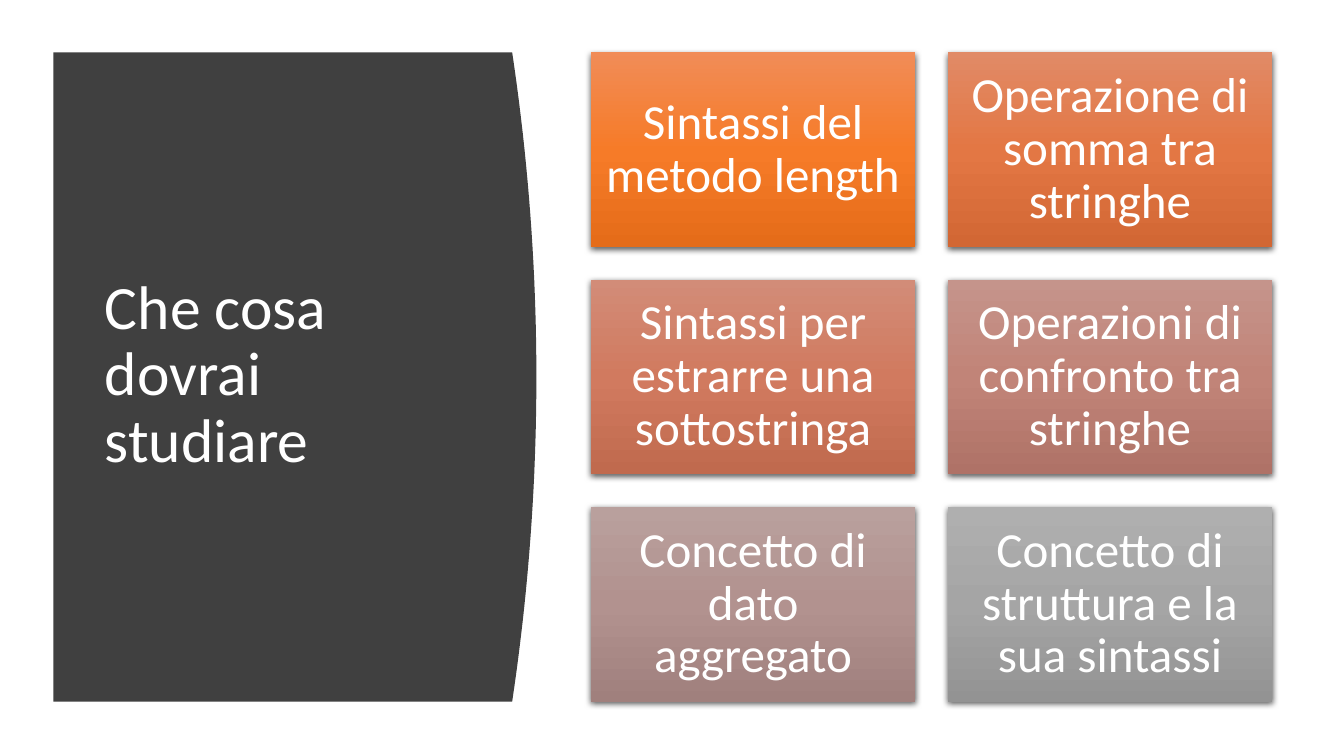
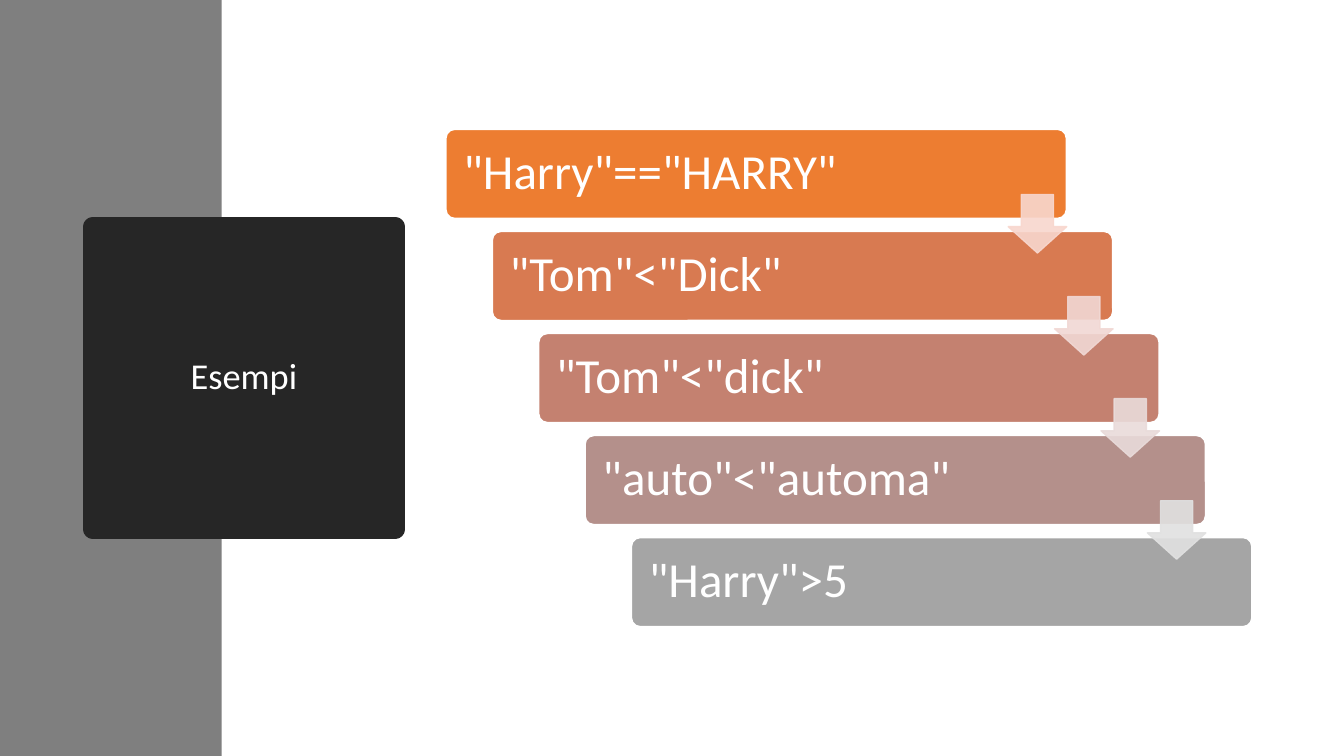
from copy import deepcopy

from lxml.etree import SubElement
from pptx import Presentation
from pptx.dml.color import RGBColor
from pptx.enum.shapes import MSO_SHAPE
from pptx.enum.text import MSO_ANCHOR, MSO_AUTO_SIZE, PP_ALIGN
from pptx.oxml.ns import qn
from pptx.util import Inches, Pt

FONT = "Calibri"
WHITE = "FFFFFF"
PANEL = "404040"
BAND = "7F7F7F"
BADGE = "262626"
TITLE_ONLY = 5

TOPICS = [
    ("Sintassi del metodo length", ("F18C57", "F67B28", "E56C19")),
    ("Operazione di somma tra stringhe", ("E18A66", "E37744", "D26734")),
    ("Sintassi per estrarre una sottostringa", ("D28C78", "D17A5F", "C06A4E")),
    ("Operazioni di confronto tra stringhe", ("C5948B", "C18478", "AF7267")),
    ("Concetto di dato aggregato", ("B9A09D", "B2928F", "A0807D")),
    ("Concetto di struttura e la sua sintassi", ("AFAFAF", "A5A5A5", "939393")),
]
EXAMPLES = [
    ('"Harry"=="HARRY"', "ED7D31"),
    ('"Tom"<"Dick"', "D87A51"),
    ('"Tom"<"dick"', "C48170"),
    ('"auto"<"automa"', "B4908B"),
    ('"Harry">5', "A5A5A5"),
]
ARROW_COLOURS = ["F8D7CE", "F1D8D4", "E9DBDA", "E1E1E1"]


def colour(value):
    return RGBColor.from_string(value)


def paint(shape, fill, line=None, width=1):
    shape.fill.solid()
    shape.fill.fore_color.rgb = colour(fill)
    if line:
        shape.line.color.rgb = colour(line)
        shape.line.width = Pt(width)
    else:
        shape.line.fill.background()


def write(shape, text, size, align, inset=0.1):
    frame = shape.text_frame
    frame.text = text
    frame.word_wrap = True
    frame.auto_size = MSO_AUTO_SIZE.NONE
    frame.vertical_anchor = MSO_ANCHOR.MIDDLE
    frame.margin_left = frame.margin_right = Inches(inset)
    frame.margin_top = frame.margin_bottom = Inches(inset if inset > 0.1 else 0.05)
    para = frame.paragraphs[0]
    para.alignment = align
    para.line_spacing = 0.9
    span = para.runs[0]
    span.font.name = FONT
    span.font.size = Pt(size)
    span.font.color.rgb = colour(WHITE)


def add_block(page, kind, left, top, width, height):
    shape = page.shapes.add_shape(
        kind, Inches(left), Inches(top), Inches(width), Inches(height)
    )
    shape.shadow.inherit = False
    return shape


def place_title(page, text, size, align, left, top, width, height):
    title = page.shapes.title
    title.left, title.top = Inches(left), Inches(top)
    title.width, title.height = Inches(width), Inches(height)
    write(title, text, size, align)
    page.shapes.element.append(title.element)
    return title


def fill_gradient(shape, colours):
    shape.fill.gradient()
    shape.fill.gradient_angle = 270
    stop_list = shape.element.spPr.find(".//" + qn("a:gsLst"))
    stop_list.append(deepcopy(stop_list[-1]))
    for index, (stop, value) in enumerate(zip(shape.fill.gradient_stops, colours)):
        stop.color.rgb = colour(value)
        stop.position = index / 2


def add_soft_shadow(shape):
    effects = shape.element.spPr.find(qn("a:effectLst"))
    shadow = SubElement(
        effects, qn("a:outerShdw"), blurRad=str(Pt(4.5)), dist=str(Pt(1.5)),
        dir="5400000", algn="ctr", rotWithShape="0",
    )
    tint = SubElement(shadow, qn("a:srgbClr"), val="000000")
    SubElement(tint, qn("a:alpha"), val="63000")


def set_opacity(shape, percent):
    for tint in shape.element.spPr.iter(qn("a:srgbClr")):
        SubElement(tint, qn("a:alpha"), val=str(percent * 1000))


def add_curved_panel(page, left, top, width, height, bulge=0.24, steps=40):
    edge = left + width - bulge
    curve = []
    for step in range(steps + 1):
        offset = 2 * step / steps - 1
        x = edge + bulge * (1 - offset ** 2)
        curve.append((Inches(x), Inches(top + height * step / steps)))
    builder = page.shapes.build_freeform(Inches(left), Inches(top))
    builder.add_line_segments(curve + [(Inches(left), Inches(top + height))])
    panel = builder.convert_to_shape()
    panel.shadow.inherit = False
    paint(panel, PANEL)


def add_topic_grid(page, left, top, width, height, columns=2, gap=0.32):
    rows = len(TOPICS) // columns
    card_width = (width - gap * (columns - 1)) / columns
    card_height = (height - gap * (rows - 1)) / rows
    for index, (text, colours) in enumerate(TOPICS):
        row, column = divmod(index, columns)
        card = add_block(
            page, MSO_SHAPE.RECTANGLE,
            left + column * (card_width + gap), top + row * (card_height + gap),
            card_width, card_height,
        )
        fill_gradient(card, colours)
        card.line.fill.background()
        add_soft_shadow(card)
        write(card, text, 35, PP_ALIGN.CENTER, 0.15)


def add_staircase(page, left, top, width, height):
    step_width, step_height, arrow_size = 6.16, 0.89, 0.58
    shift = (width - step_width) / (len(EXAMPLES) - 1)
    drop = (height - step_height) / (len(EXAMPLES) - 1)
    for index, (text, fill) in enumerate(EXAMPLES):
        step = add_block(
            page, MSO_SHAPE.ROUNDED_RECTANGLE,
            left + index * shift, top + index * drop, step_width, step_height,
        )
        step.adjustments[0] = 0.1
        paint(step, fill, WHITE, 1.5)
        write(step, text, 35, PP_ALIGN.LEFT, 0.15)
    for index, fill in enumerate(ARROW_COLOURS):
        arrow = add_block(
            page, MSO_SHAPE.DOWN_ARROW,
            left + step_width - arrow_size + index * shift,
            top + 0.65 + index * drop, arrow_size, arrow_size,
        )
        arrow.adjustments[0] = 0.55
        arrow.adjustments[1] = 0.45
        paint(arrow, fill, fill)
        set_opacity(arrow, 90)


def build_topics(deck):
    page = deck.slides.add_slide(deck.slide_layouts[TITLE_ONLY])
    add_curved_panel(page, 0.53, 0.52, 4.79, 6.44)
    place_title(page, "Che cosa dovrai studiare", 44, PP_ALIGN.LEFT, 0.94, 1.11, 3.74, 5.24)
    add_topic_grid(page, 5.86, 0.52, 6.76, 6.44)


def build_examples(deck):
    page = deck.slides.add_slide(deck.slide_layouts[TITLE_ONLY])
    band = add_block(page, MSO_SHAPE.RECTANGLE, 0, 0, 2.2, 7.5)
    paint(band, BAND)
    title = place_title(page, "Esempi", 26, PP_ALIGN.CENTER, 0.92, 2.25, 3, 3)
    paint(title, BADGE, BADGE, 13.75)
    add_staircase(page, 4.42, 1.28, 8, 4.94)


def main():
    deck = Presentation()
    deck.slide_width, deck.slide_height = Inches(13.33), Inches(7.5)
    build_topics(deck)
    build_examples(deck)
    deck.save("out.pptx")


if __name__ == "__main__":
    main()
